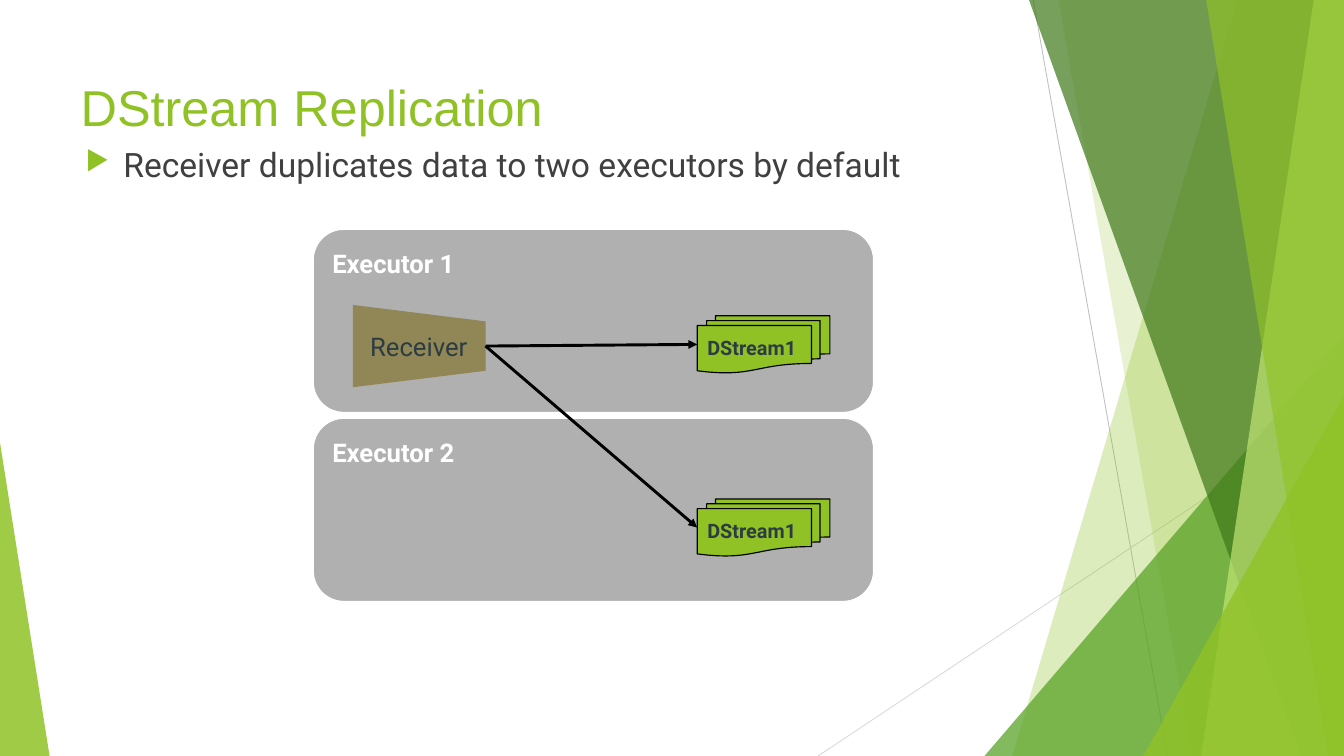
from lxml import etree
from pptx import Presentation
from pptx.dml.color import RGBColor
from pptx.enum.shapes import MSO_CONNECTOR, MSO_SHAPE
from pptx.enum.text import MSO_ANCHOR, PP_ALIGN
from pptx.oxml.ns import qn
from pptx.util import Inches, Pt

STRAIGHT = MSO_CONNECTOR.STRAIGHT
TRIANGLE = MSO_SHAPE.ISOSCELES_TRIANGLE
ROUNDED = MSO_SHAPE.ROUNDED_RECTANGLE
FUNNEL = MSO_SHAPE.FLOWCHART_MANUAL_OPERATION
DOCUMENTS = MSO_SHAPE.FLOWCHART_MULTIDOCUMENT
TOP, MIDDLE = MSO_ANCHOR.TOP, MSO_ANCHOR.MIDDLE
LEFT, CENTER = PP_ALIGN.LEFT, PP_ALIGN.CENTER

LIME = RGBColor(0x90, 0xC2, 0x26)
PALE_LIME = RGBColor(0xC0, 0xE4, 0x74)
GREEN = RGBColor(0x54, 0xA0, 0x21)
DARK_GREEN = RGBColor(0x3F, 0x78, 0x19)
OLIVE = RGBColor(0x91, 0x86, 0x55)
GRAY = RGBColor(0xB0, 0xB0, 0xB0)
MID_GRAY = RGBColor(0xBF, 0xBF, 0xBF)
LIGHT_GRAY = RGBColor(0xD9, 0xD9, 0xD9)
TEXT_GRAY = RGBColor(0x40, 0x40, 0x40)
SLATE = RGBColor(0x2C, 0x3C, 0x43)
BLACK = RGBColor(0, 0, 0)
WHITE = RGBColor(0xFF, 0xFF, 0xFF)

# The slide is a grid of square cells.
COLUMNS, ROWS = 16, 9
SLIDE_WIDTH = Inches(16)
CELL = SLIDE_WIDTH // COLUMNS


def grid(*cells):
    return [round(cell * CELL) for cell in cells]


def paint(shape, color, opacity=100, outline=None):
    shape.shadow.inherit = False
    shape.fill.solid()
    shape.fill.fore_color.rgb = color
    if opacity < 100:
        color_tag = shape.fill._xPr.find(qn("a:solidFill"))[0]
        etree.SubElement(color_tag, qn("a:alpha"), val=str(opacity * 1000))
    if outline is None:
        shape.line.fill.background()
    else:
        shape.line.color.rgb = outline
        shape.line.width = Pt(1)


def add_block(slide, preset, box, color, opacity=100, outline=None):
    block = slide.shapes.add_shape(preset, *grid(*box))
    paint(block, color, opacity, outline)
    return block


def add_sheet(slide, top_x, bottom_x, color, opacity):
    """Translucent sheet from a slanted left side to the slide's right edge."""
    outline = slide.shapes.build_freeform(*grid(top_x, 0))
    corners = [(COLUMNS, 0), (COLUMNS, ROWS), (bottom_x, ROWS)]
    outline.add_line_segments([grid(*corner) for corner in corners])
    paint(outline.convert_to_shape(), color, opacity)


def add_corner(slide, box, apex, color, opacity):
    """Right triangle whose apex is at the left (0) or right (1)."""
    corner = add_block(slide, TRIANGLE, box, color, opacity)
    corner.adjustments[0] = apex


def add_line(slide, ends, color, width):
    line = slide.shapes.add_connector(STRAIGHT, *grid(*ends))
    line.line.color.rgb = color
    line.line.width = Pt(width)
    etree.SubElement(line._element.spPr, qn("a:effectLst"))
    return line


def add_arrow(slide, source, target):
    arrow = add_line(slide, (0, 0, 1, 1), BLACK, 2.5)
    arrow.begin_connect(source, 3)
    arrow.end_connect(target, 1)
    etree.SubElement(arrow.line._get_or_add_ln(), qn("a:tailEnd"), type="triangle")


def write(shape, text, size, color, font="Roboto", bold=False, align=LEFT,
          anchor=TOP, side_inset=0.12, top_inset=0.12):
    frame = shape.text_frame
    frame.word_wrap = True
    frame.vertical_anchor = anchor
    frame.margin_left, frame.margin_right = grid(side_inset, side_inset)
    frame.margin_top, frame.margin_bottom = grid(top_inset, top_inset)
    paragraph = frame.paragraphs[0]
    paragraph.text = text
    paragraph.alignment = align
    paragraph.font.name = font
    paragraph.font.size = Pt(size)
    paragraph.font.bold = bold
    paragraph.font.color.rgb = color


def add_text(slide, box, text, size, color, **style):
    label = slide.shapes.add_textbox(*grid(*box))
    write(label, text, size, color, **style)
    return label


def add_bullet(paragraph):
    properties = paragraph._p.get_or_add_pPr()
    indent = grid(0.45)[0]
    properties.set("marL", str(indent))
    properties.set("indent", str(-indent))
    bullet_color = etree.Element(qn("a:buClr"))
    etree.SubElement(bullet_color, qn("a:srgbClr"), val=str(LIME))
    bullet_size = etree.Element(qn("a:buSzPct"), val="80000")
    bullet_char = etree.Element(qn("a:buChar"), char="▶")
    for position, part in enumerate((bullet_color, bullet_size, bullet_char)):
        properties.insert(position, part)


def add_backdrop(slide):
    add_line(slide, (12.3, 0, 13.9, 9), MID_GRAY, 0.75)
    add_line(slide, (16, 4.83, 9.74, 9), LIGHT_GRAY, 0.75)
    add_sheet(slide, 14.73, 12.05, LIME, 30)
    add_sheet(slide, 12.6, 14.19, LIME, 20)
    add_corner(slide, (11.72, 4, 4.28, 5), 1, GREEN, 72)
    add_sheet(slide, 12.25, 15.49, DARK_GREEN, 70)
    add_sheet(slide, 15.64, 14.3, PALE_LIME, 70)
    add_sheet(slide, 14.36, 15.81, LIME, 65)
    add_corner(slide, (13.61, 4.71, 2.39, 4.29), 1, LIME, 80)
    add_corner(slide, (0, 5.27, 0.59, 3.73), 0, LIME, 85)


def add_executor(slide, name, top):
    executor = add_block(slide, ROUNDED, (3.73, top, 6.67, 2.18), GRAY, outline=WHITE)
    write(executor, name, 22, WHITE, bold=True)


def add_receiver(slide):
    funnel = add_block(slide, FUNNEL, (4.5, 3.33, 0.98, 1.58), OLIVE)
    funnel.rotation = 270
    return add_text(slide, (4.19, 3.97, 1.59, 0.3), "Receiver", 22, SLATE,
                    align=CENTER, anchor=MIDDLE, side_inset=0.1, top_inset=0.1)


def add_dstream(slide, top):
    dstream = add_block(slide, DOCUMENTS, (8.3, top, 1.58, 0.68), LIME, outline=BLACK)
    write(dstream, "DStream1", 17, SLATE, bold=True)
    return dstream


def main():
    presentation = Presentation()
    presentation.slide_width = SLIDE_WIDTH
    presentation.slide_height = CELL * ROWS
    slide = presentation.slides.add_slide(presentation.slide_layouts[6])

    add_backdrop(slide)
    add_text(slide, (0.89, 0.8, 11.28, 0.8), "DStream Replication", 43.2, LIME,
             font="Arial", side_inset=0.07, top_inset=0.11)
    message = add_text(slide, (0.92, 1.63, 14.4, 1.1),
                       "Receiver duplicates data to two executors by default",
                       28.8, TEXT_GRAY, side_inset=0.1, top_inset=0.08)
    add_bullet(message.text_frame.paragraphs[0])

    add_executor(slide, "Executor 1", 2.73)
    add_executor(slide, "Executor 2", 4.98)
    receiver = add_receiver(slide)
    for dstream_top in (3.76, 5.94):
        add_arrow(slide, receiver, add_dstream(slide, dstream_top))

    presentation.save("out.pptx")


if __name__ == "__main__":
    main()
